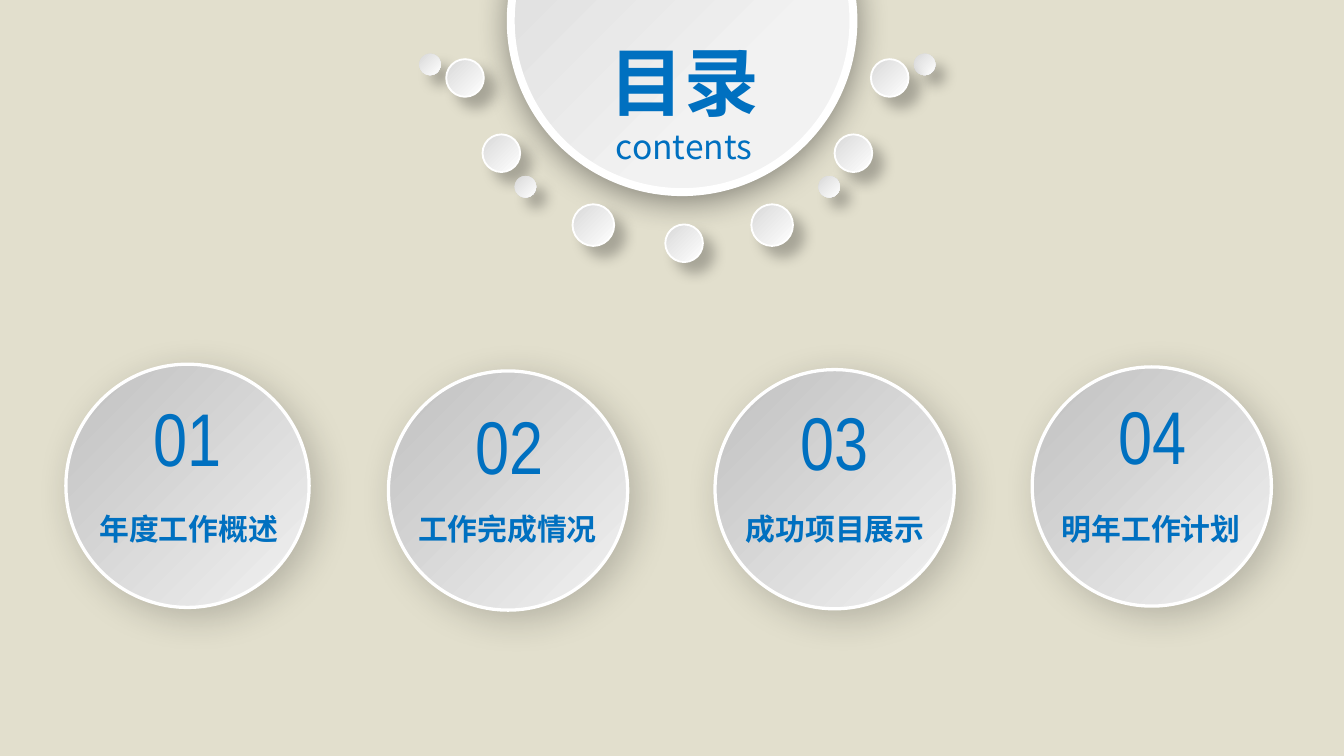
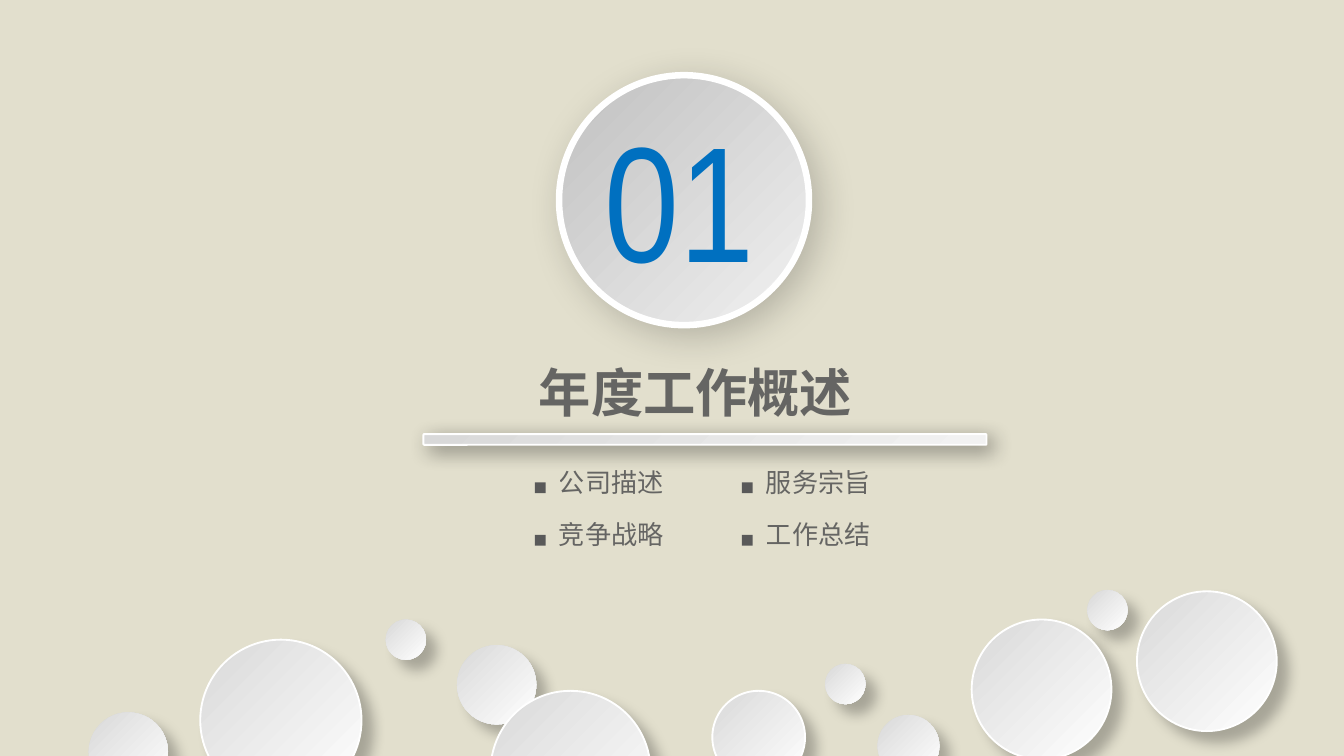
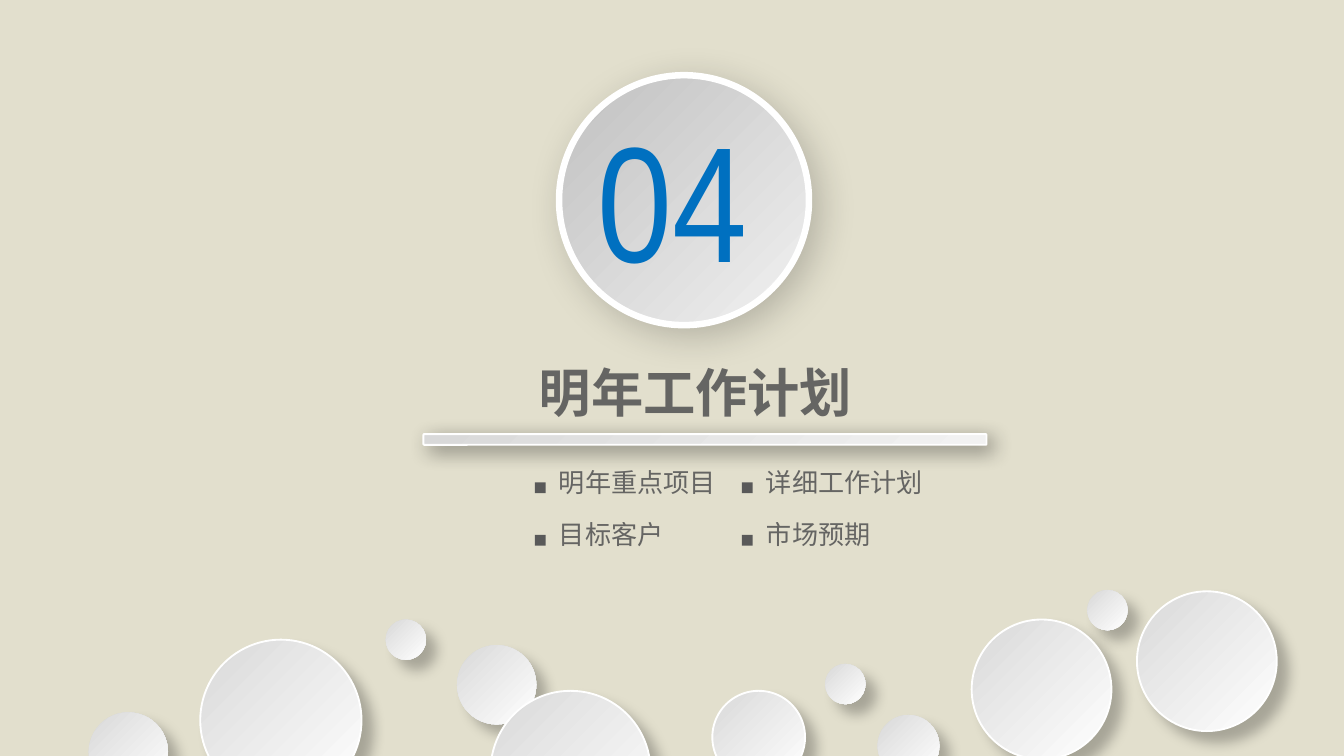
from dataclasses import dataclass
from typing import Optional

from lxml import etree
from pptx import Presentation
from pptx import util as u
from pptx.dml.color import RGBColor
from pptx.enum import shapes, text
from pptx.oxml import ns

SAND = RGBColor(0xE2, 0xDF, 0xCD)
BLUE = RGBColor(0x00, 0x70, 0xC0)
INK = RGBColor(0x59, 0x59, 0x59)
WHITE = RGBColor(0xFF, 0xFF, 0xFF)
PALE = RGBColor(0xF2, 0xF2, 0xF2)
LIGHT = RGBColor(0xD9, 0xD9, 0xD9)
MID = RGBColor(0xBF, 0xBF, 0xBF)

SANS = "Noto Sans CJK SC"
SLIM = "Arial Narrow"
OVAL = shapes.MSO_SHAPE.OVAL
LEFT = text.PP_ALIGN.LEFT
CENTER = text.PP_ALIGN.CENTER
AXIS = 5.04


@dataclass
class Box:
    x: float
    y: float
    w: float
    h: float


@dataclass
class Shade:
    alpha: int
    blur: float
    dist: float
    angle: int = 45


@dataclass
class Look:
    start: RGBColor
    end: RGBColor
    line: float
    shade: Shade


@dataclass
class Font:
    size: float
    color: RGBColor
    face: str = SANS
    bold: bool = False
    alpha: Optional[int] = None


@dataclass
class Orb:
    x: float
    y: float
    d: float
    rim: bool = False


@dataclass
class Topic:
    disc: Orb
    num: Box
    left: float
    name: str


@dataclass
class Part:
    num: str
    left: float
    name: str
    points: list[str]


SOFT = Shade(20, 20, 6)
DROP = Shade(25, 7, 8)
DISC = Look(MID, PALE, 1.75, SOFT)
BADGE = Look(MID, PALE, 3.5, SOFT)
DOME = Look(PALE, LIGHT, 4.25, Shade(40, 17, 3, 90))
BAR = Look(LIGHT, PALE, 1, Shade(45, 11, 4))
RIM = Look(LIGHT, WHITE, 1, DROP)
BARE = Look(LIGHT, WHITE, 0, DROP)

TOPICS = [
    Topic(Orb(0.49, 2.71, 1.81), Box(1.02, 2.87, 0.75, 0.77), 0.67, "年度工作概述"),
    Topic(Orb(2.89, 2.76, 1.78), Box(3.38, 2.93, 0.82, 0.77), 3.04, "工作完成情况"),
    Topic(Orb(5.32, 2.75, 1.78), Box(5.8, 2.9, 0.82, 0.77), 5.48, "成功项目展示"),
    Topic(Orb(7.68, 2.73, 1.78), Box(8.13, 2.85, 0.89, 0.77), 7.83, "明年工作计划"),
]
SIDE = [
    Orb(3.12, 0.4, 0.16),
    Orb(3.59, 1, 0.28, True),
    Orb(3.83, 1.31, 0.16),
    Orb(3.32, 0.44, 0.28, True),
]
LOW = [Orb(4.95, 1.67, 0.28, True), Orb(4.26, 1.52, 0.31, True), Orb(5.59, 1.52, 0.31, True)]
FLOOR = [
    Orb(0.66, 5.3, 0.59),
    Orb(3.4, 4.8, 0.59),
    Orb(5.3, 5.14, 0.69, True),
    Orb(3.65, 5.14, 1.19, True),
    Orb(1.49, 4.76, 1.2, True),
    Orb(8.09, 4.39, 0.3),
    Orb(7.23, 4.61, 1.04, True),
    Orb(6.53, 5.32, 0.46),
    Orb(8.46, 4.4, 1.04, True),
    Orb(2.87, 4.61, 0.3),
    Orb(6.14, 4.94, 0.3),
]
PARTS = [
    Part("01", 4.4, "年度工作概述", ["公司描述", "服务宗旨", "竞争战略", "工作总结"]),
    Part("04", 4.35, "明年工作计划", ["明年重点项目", "详细工作计划", "目标客户", "市场预期"]),
]


def add_tag(node, tag: str, **attrs):
    return etree.SubElement(node, ns.qn(tag), {k: str(v) for k, v in attrs.items()})


def place(shape, box: Box) -> None:
    shape.left, shape.top = u.Inches(box.x), u.Inches(box.y)
    shape.width, shape.height = u.Inches(box.w), u.Inches(box.h)


def add_shape(slide, kind, box: Box):
    shape = slide.shapes.add_shape(kind, 0, 0, 0, 0)
    place(shape, box)
    shape.shadow.inherit = False
    shape.line.fill.background()
    return shape


def cast(shape, shade: Shade) -> None:
    effects = shape.element.spPr.find(ns.qn("a:effectLst"))
    outer = add_tag(
        effects, "a:outerShdw", blurRad=u.Pt(shade.blur), dist=u.Pt(shade.dist),
        dir=shade.angle * 60000, algn="ctr", rotWithShape=0,
    )
    color = add_tag(outer, "a:srgbClr", val="000000")
    add_tag(color, "a:alpha", val=shade.alpha * 1000)


def add_solid(slide, kind, box: Box, look: Look):
    shape = add_shape(slide, kind, box)
    shape.fill.gradient()
    shape.fill.gradient_angle = 315
    for stop, color, spot in zip(shape.fill.gradient_stops, (look.start, look.end), (0, 1)):
        stop.color.rgb = color
        stop.position = spot
    if look.line:
        shape.line.color.rgb = WHITE
        shape.line.width = u.Pt(look.line)
    cast(shape, look.shade)
    return shape


def add_disc(slide, orb: Orb, look: Look):
    return add_solid(slide, OVAL, Box(orb.x, orb.y, orb.d, orb.d), look)


def add_orbs(slide, orbs: list[Orb]) -> None:
    for orb in orbs:
        add_disc(slide, orb, RIM if orb.rim else BARE)


def add_dome(slide) -> None:
    dome = add_disc(slide, Orb(3.8, -1.12, 2.55), DOME)
    dome.fill.gradient_stops[0].position = 0.31
    grad = dome.element.spPr.find(ns.qn("a:gradFill"))
    grad.remove(grad.find(ns.qn("a:lin")))
    ring = add_tag(grad, "a:path", path="circle")
    add_tag(ring, "a:fillToRect", l=100000, t=100000)


def style(para, font: Font, align) -> None:
    para.alignment = align
    for run in para.runs:
        run.font.size = u.Pt(font.size)
        run.font.bold = font.bold
        run.font.color.rgb = font.color
        run.font.name = font.face
        props = run.font._element
        if font.alpha:
            add_tag(props.find(".//" + ns.qn("a:srgbClr")), "a:alpha", val=font.alpha * 1000)
        add_tag(props, "a:ea", typeface=SANS)


def write(shape, box: Box, lines: list[str], fonts: list[Font], align=LEFT, wrap=False):
    frame = shape.text_frame
    frame.text = "\n".join(lines)
    frame.word_wrap = wrap
    frame.auto_size = text.MSO_AUTO_SIZE.SHAPE_TO_FIT_TEXT
    frame.vertical_anchor = text.MSO_ANCHOR.TOP
    for para, font in zip(frame.paragraphs, fonts):
        style(para, font, align)
    place(shape, box)
    return frame


def add_text(slide, box: Box, words: str, font: Font, align=LEFT, wrap=False):
    return write(slide.shapes.add_textbox(0, 0, 0, 0), box, [words], [font], align, wrap)


def add_title(slide, box: Box, lines: list[str], fonts: list[Font], align=LEFT) -> None:
    title = slide.shapes.title
    write(title, box, lines, fonts, align)
    title.element.getparent().append(title.element)


def new_slide(deck):
    slide = deck.slides.add_slide(deck.slide_layouts[5])
    slide.background.fill.solid()
    slide.background.fill.fore_color.rgb = SAND
    return slide


def add_label(slide, topic: Topic) -> None:
    font = Font(16, BLUE, "Arial", True)
    frame = add_text(slide, Box(topic.left, 3.69, 1.49, 0.39), topic.name, font, wrap=True)
    frame.margin_left = frame.margin_right = u.Inches(0.07)
    frame.margin_top = frame.margin_bottom = u.Inches(0.04)
    frame.paragraphs[0].line_spacing = u.Pt(24)


def draw_index(deck) -> None:
    slide = new_slide(deck)
    for i, topic in enumerate(TOPICS, 1):
        add_disc(slide, topic.disc, DISC)
        add_text(slide, topic.num, f"{i:02}", Font(40, BLUE, SLIM), CENTER, True)
        add_label(slide, topic)
    add_dome(slide)
    fonts = [Font(40, BLUE, bold=True), Font(18, BLUE)]
    add_title(slide, Box(4.43, 0.22, 1.32, 1.08), ["目录", "contents"], fonts, CENTER)
    twins = [Orb(2 * AXIS - o.x - o.d, o.y, o.d, o.rim) for o in SIDE]
    add_orbs(slide, SIDE + LOW + twins)


def add_point(slide, i: int, words: str) -> None:
    row, col = divmod(i, 2)
    x, y = 3.98 + 1.54 * col, 3.42 + 0.39 * row
    mark = add_shape(slide, shapes.MSO_SHAPE.RECTANGLE, Box(x, y + 0.17, 0.08, 0.08))
    mark.fill.solid()
    mark.fill.fore_color.rgb = INK
    width = 0.21 + 0.195 * len(words)
    add_text(slide, Box(x + 0.08, y, width, 0.34), words, Font(14, INK, alpha=91))


def draw_part(deck, part: Part) -> None:
    slide = new_slide(deck)
    bar = add_solid(slide, shapes.MSO_SHAPE.ROUNDED_RECTANGLE, Box(3.15, 3.23, 4.19, 0.08), BAR)
    bar.adjustments[0] = 0.08
    add_disc(slide, Orb(4.16, 0.56, 1.86), BADGE)
    add_text(slide, Box(part.left, 0.68, 1.48, 1.58), part.num, Font(88, BLUE, SLIM), wrap=True)
    font = Font(28, INK, bold=True, alpha=91)
    add_title(slide, Box(3.91, 2.63, 2.56, 0.57), [part.name], [font])
    for i, words in enumerate(part.points):
        add_point(slide, i, words)
    add_orbs(slide, FLOOR)


def main() -> None:
    deck = Presentation()
    deck.slide_width, deck.slide_height = u.Inches(10), u.Inches(5.625)
    draw_index(deck)
    for part in PARTS:
        draw_part(deck, part)
    deck.save("out.pptx")


if __name__ == "__main__":
    main()
